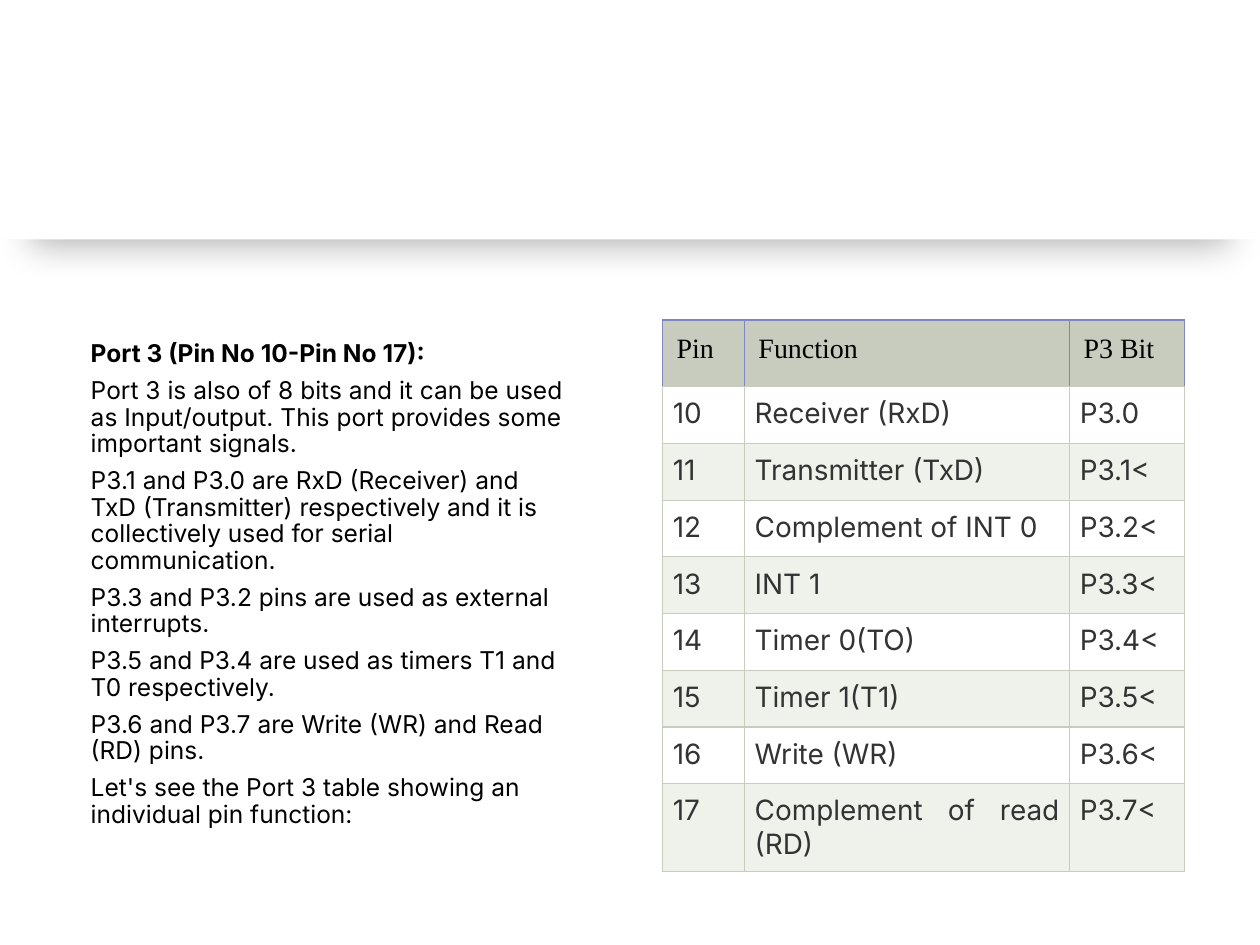
"""Build the Port 3 slide with its pin table."""
from typing import NamedTuple

from lxml import etree
from pptx import Presentation
from pptx import util as u
from pptx.dml.color import RGBColor
from pptx.enum import shapes, text
from pptx.oxml import parse_xml
from pptx.oxml.ns import nsdecls, qn

SAGE, BLUE, PALE, WHITE = "C7CCBE", "8087BE", "EFF1EB", "FFFFFF"
BLACK, GREY = "000000", "333333"


class Pin(NamedTuple):
    num: str
    role: str
    bit: str


class Look(NamedTuple):
    font: str
    ink: str
    pad: float
    edge: str
    align: text.PP_ALIGN


HEAD = Look("Times New Roman", BLACK, 0.11, BLUE, text.PP_ALIGN.LEFT)
BODY = Look("Inter", GREY, 0.08, SAGE, text.PP_ALIGN.JUSTIFY)

PINS = [
    Pin("Pin", "Function", "P3 Bit"),
    Pin("10", "Receiver (RxD)", "P3.0"),
    Pin("11", "Transmitter (TxD)", "P3.1<"),
    Pin("12", "Complement of INT 0", "P3.2<"),
    Pin("13", "INT 1", "P3.3<"),
    Pin("14", "Timer 0(TO)", "P3.4<"),
    Pin("15", "Timer 1(T1)", "P3.5<"),
    Pin("16", "Write (WR)", "P3.6<"),
    Pin("17", "Complement of read (RD)", "P3.7<"),
]

NOTES = [
    "Port 3 (Pin No 10-Pin No 17):",
    "Port 3 is also of 8 bits and it can be used as Input/output. "
    "This port provides some important signals.",
    "P3.1 and P3.0 are RxD (Receiver) and TxD (Transmitter) respectively "
    "and it is collectively used for serial communication.",
    "P3.3 and P3.2 pins are used as external interrupts.",
    "P3.5 and P3.4 are used as timers T1 and T0 respectively.",
    "P3.6 and P3.7 are Write (WR) and Read (RD) pins.",
    "Let's see the Port 3 table showing an individual pin function:",
]


def paint(fill, tint: str) -> None:
    fill.solid()
    fill.fore_color.rgb = RGBColor.from_string(tint)


def style(font, name: str, size: float, ink: str, bold: bool = False) -> None:
    font.name, font.size, font.bold = name, u.Pt(size), bold
    font.color.rgb = RGBColor.from_string(ink)


def add_band(slide) -> None:
    band = slide.shapes.add_shape(
        shapes.MSO_SHAPE.RECTANGLE, 0, 0, u.Inches(10), u.Inches(1.9))
    paint(band.fill, WHITE)
    band.line.fill.background()
    band.element.spPr.append(parse_xml(
        f'<a:effectLst {nsdecls("a")}><a:outerShdw blurRad="{u.Pt(20)}" '
        f'dist="{u.Pt(3)}" dir="{91 * 60000}" sx="95000" sy="100000" '
        f'algn="t" rotWithShape="0"><a:srgbClr val="{BLACK}">'
        '<a:alpha val="30000"/></a:srgbClr></a:outerShdw></a:effectLst>'))
    slide.shapes.element.insert(2, band.element)


def add_notes(box, lines: list[str]) -> None:
    box.left, box.top = u.Inches(0.62), u.Inches(2.54)
    box.width, box.height = u.Inches(3.99), u.Inches(4.21)
    frame = box.text_frame
    frame.text = "\n".join(lines)
    frame.word_wrap = True
    frame.auto_size = text.MSO_AUTO_SIZE.NONE
    frame.vertical_anchor = text.MSO_ANCHOR.MIDDLE
    for i, par in enumerate(frame.paragraphs):
        props = par._p.get_or_add_pPr()
        props.set("marL", "0")
        props.set("indent", "0")
        etree.SubElement(props, qn("a:buNone"))
        par.line_spacing = 0.9
        par.space_before = u.Pt(6 if i else 0)
        style(par.runs[0].font, "Inter", 14, BLACK, bold=i == 0)


def add_edges(cell, edge: str) -> None:
    props = cell._tc.get_or_add_tcPr()
    for side, tint in zip("LRTB", (edge, edge, edge, SAGE)):
        props.append(parse_xml(
            f'<a:ln{side} {nsdecls("a")} w="{u.Pt(0.75)}"><a:solidFill>'
            f'<a:srgbClr val="{tint}"/></a:solidFill></a:ln{side}>'))


def fill_cell(cell, words: str, look: Look, tint: str) -> None:
    cell.text = words
    cell.margin_left = cell.margin_right = u.Inches(look.pad)
    cell.margin_top = cell.margin_bottom = u.Inches(look.pad)
    add_edges(cell, look.edge)
    paint(cell.fill, tint)
    par = cell.text_frame.paragraphs[0]
    par.alignment = look.align
    style(par.runs[0].font, look.font, 16, look.ink)


def add_pins(slide, pins: list[Pin]) -> None:
    widths = (0.65, 2.58, 0.91)
    table = slide.shapes.add_table(
        len(pins), len(widths), u.Inches(5.26), u.Inches(2.54),
        u.Inches(sum(widths)), u.Inches(4.13)).table
    for col, width in zip(table.columns, widths):
        col.width = u.Inches(width)
    for i, pin in enumerate(pins):
        table.rows[i].height = u.Inches(0.45 if i else 0.53)
        look = BODY if i else HEAD
        tint = (PALE if i % 2 == 0 else WHITE) if i else SAGE
        for j, words in enumerate(pin):
            fill_cell(table.cell(i, j), words, look, tint)


def main() -> None:
    deck = Presentation()
    deck.slide_width, deck.slide_height = u.Inches(10), u.Inches(7.5)
    slide = deck.slides.add_slide(deck.slide_layouts[1])
    title = slide.shapes.title.element
    title.getparent().remove(title)
    add_band(slide)
    add_notes(slide.placeholders[1], NOTES)
    add_pins(slide, PINS)
    deck.save("out.pptx")


if __name__ == "__main__":
    main()
